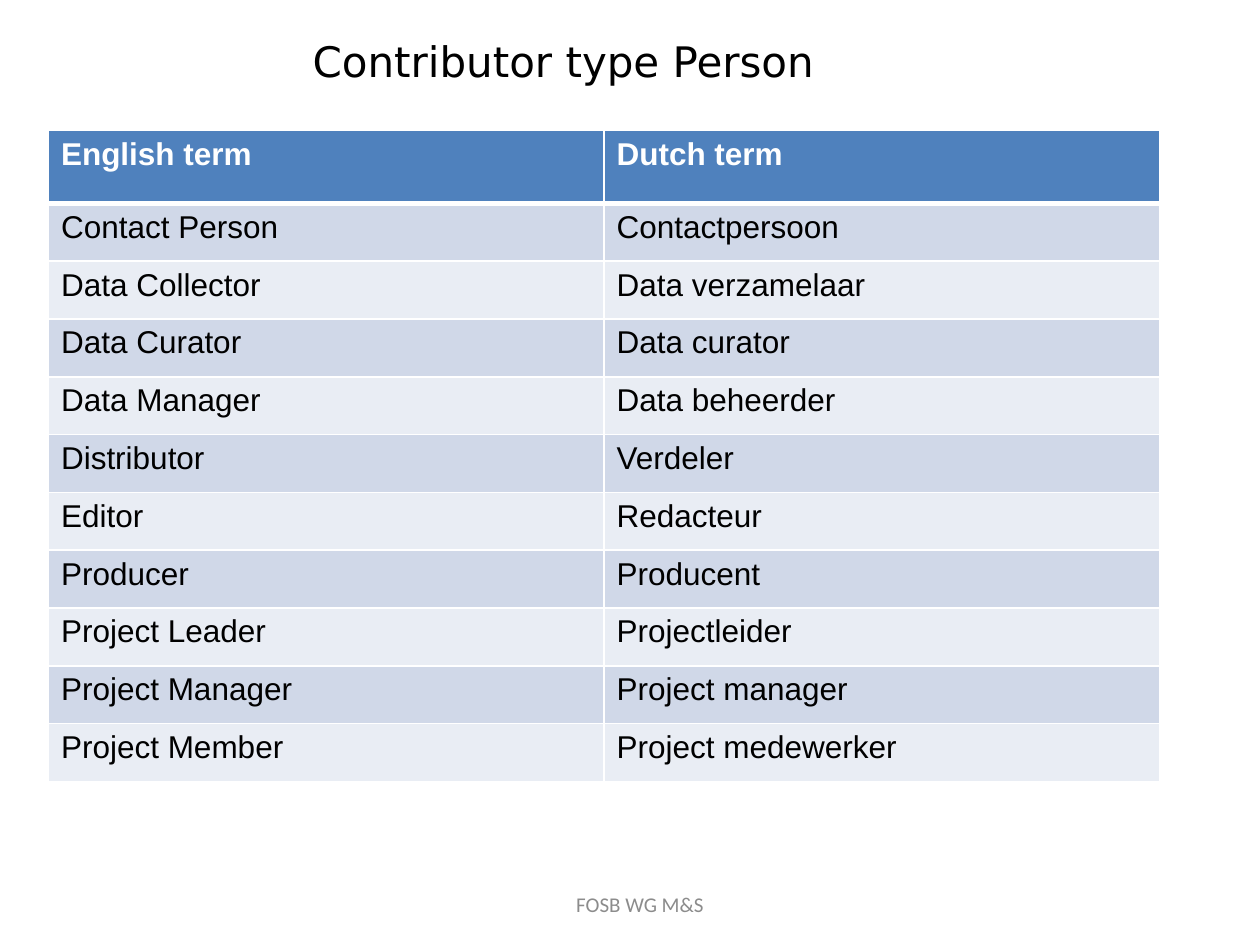
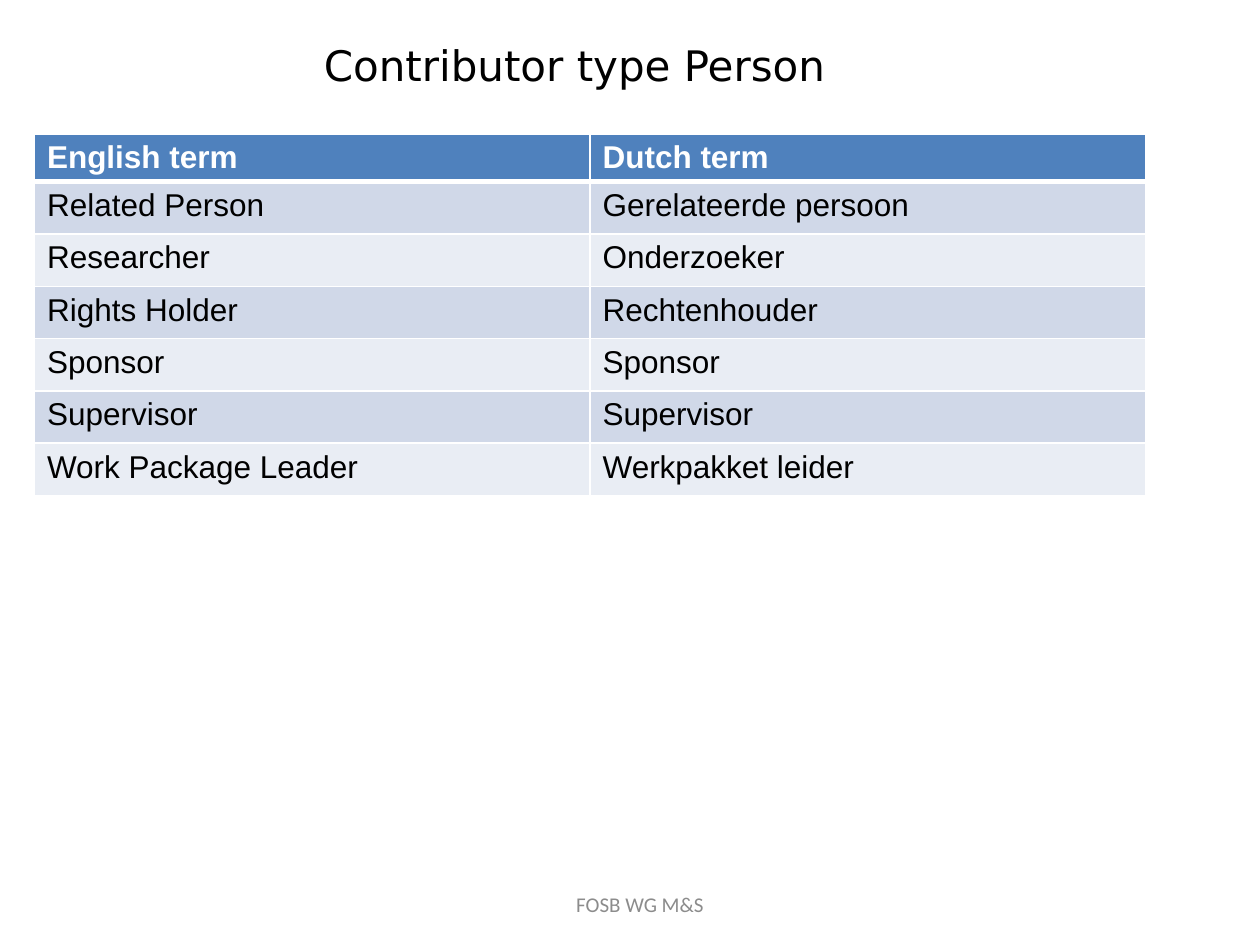
from lxml.etree import SubElement
from pptx import Presentation
from pptx.dml.color import RGBColor
from pptx.enum.text import MSO_ANCHOR, MSO_AUTO_SIZE, PP_ALIGN
from pptx.oxml.ns import qn
from pptx.util import Pt

HEADER_FILL = "4F81BD"
BAND_FILLS = ("D0D8E8", "E9EDF4")
WHITE, BLACK, GREY = "FFFFFF", "000000", "8C8C8C"
COLUMN_WIDTH = 317.5
HEADINGS = ("English term", "Dutch term")

PERSON_SLIDES = [
    {
        "title_box": (20.9, 27.4, 602, 15),
        "table_origin": (27.7, 74.5),
        "row_heights": (41.76, 33.05),
        "terms": [
            ("Contact Person", "Contactpersoon"),
            ("Data Collector", "Data verzamelaar"),
            ("Data Curator", "Data curator"),
            ("Data Manager", "Data beheerder"),
            ("Distributor", "Verdeler"),
            ("Editor", "Redacteur"),
            ("Producer", "Producent"),
            ("Project Leader", "Projectleider"),
            ("Project Manager", "Project manager"),
            ("Project Member", "Project medewerker"),
        ],
    },
    {
        "title_box": (10.8, 21.6, 635, 30.2),
        "table_origin": (19.7, 76.5),
        "row_heights": (27, 29.9),
        "terms": [
            ("Related Person", "Gerelateerde persoon"),
            ("Researcher", "Onderzoeker"),
            ("Rights Holder", "Rechtenhouder"),
            ("Sponsor", "Sponsor"),
            ("Supervisor", "Supervisor"),
            ("Work Package Leader", "Werkpakket leider"),
        ],
    },
]


def color(value):
    return RGBColor.from_string(value)


class TermDeck:
    TITLE = {"name": "DejaVu Sans", "size": Pt(24), "bold": False}
    CELL = {"name": "Arial", "size": Pt(18)}
    FOOTER = {"name": "Calibri", "size": Pt(12)}

    def __init__(self):
        self.presentation = Presentation()
        self.presentation.slide_width = Pt(720)
        self.presentation.slide_height = Pt(540)
        self.slide = None

    def add_slide(self):
        layout = self.presentation.slide_layouts.get_by_name("Title Only")
        self.slide = self.presentation.slides.add_slide(layout)

    def styled_text(self, text_frame, text, style, font_color, **extra):
        paragraph = text_frame.paragraphs[0]
        run = paragraph.add_run()
        run.text = text
        for name, value in {**style, **extra}.items():
            setattr(run.font, name, value)
        run.font.color.rgb = color(font_color)
        return paragraph

    def centred_text(self, shape, text, style, font_color):
        frame = shape.text_frame
        settings = {
            "word_wrap": True,
            "auto_size": MSO_AUTO_SIZE.NONE,
            "vertical_anchor": MSO_ANCHOR.MIDDLE,
        }
        for name, value in settings.items():
            setattr(frame, name, value)
        self.styled_text(frame, text, style, font_color).alignment = PP_ALIGN.CENTER

    def title(self, text, box):
        shape = self.slide.shapes.title
        for name, value in zip(("left", "top", "width", "height"), box):
            setattr(shape, name, Pt(value))
        self.centred_text(shape, text, self.TITLE, BLACK)

    def footer(self, text):
        shape = self.slide.shapes.add_textbox(Pt(190), Pt(502.5), Pt(351.5), Pt(28.8))
        self.centred_text(shape, text, self.FOOTER, GREY)

    def borders(self, cell, widths):
        properties = cell._tc.get_or_add_tcPr()
        for side, width in widths.items():
            line = SubElement(properties, qn(f"a:ln{side}"), w=str(Pt(width)))
            fill = SubElement(line, qn("a:solidFill"))
            SubElement(fill, qn("a:srgbClr"), val=WHITE)

    def table(self, origin, row_heights, terms):
        rows = [HEADINGS, *terms]
        header_height, body_height = row_heights
        height = header_height + body_height * len(terms)
        left, top = origin
        table = self.slide.shapes.add_table(
            len(rows), len(HEADINGS), Pt(left), Pt(top),
            Pt(COLUMN_WIDTH * len(HEADINGS)), Pt(height),
        ).table
        for column in table.columns:
            column.width = Pt(COLUMN_WIDTH)
        for index, texts in enumerate(rows):
            is_header = index == 0
            table.rows[index].height = Pt(header_height if is_header else body_height)
            fill = HEADER_FILL if is_header else BAND_FILLS[(index - 1) % 2]
            widths = {"L": 1, "R": 1, "T": 3 if index == 1 else 1, "B": 3 if is_header else 1}
            for cell, text in zip(table.rows[index].cells, texts):
                self.borders(cell, widths)
                cell.fill.solid()
                cell.fill.fore_color.rgb = color(fill)
                self.styled_text(cell.text_frame, text, self.CELL,
                                 WHITE if is_header else BLACK, bold=is_header)


def main():
    deck = TermDeck()
    for content in PERSON_SLIDES:
        deck.add_slide()
        deck.title("Contributor type Person", content["title_box"])
        deck.table(content["table_origin"], content["row_heights"], content["terms"])
        deck.footer("FOSB WG M&S")
    deck.presentation.save("out.pptx")


if __name__ == "__main__":
    main()
